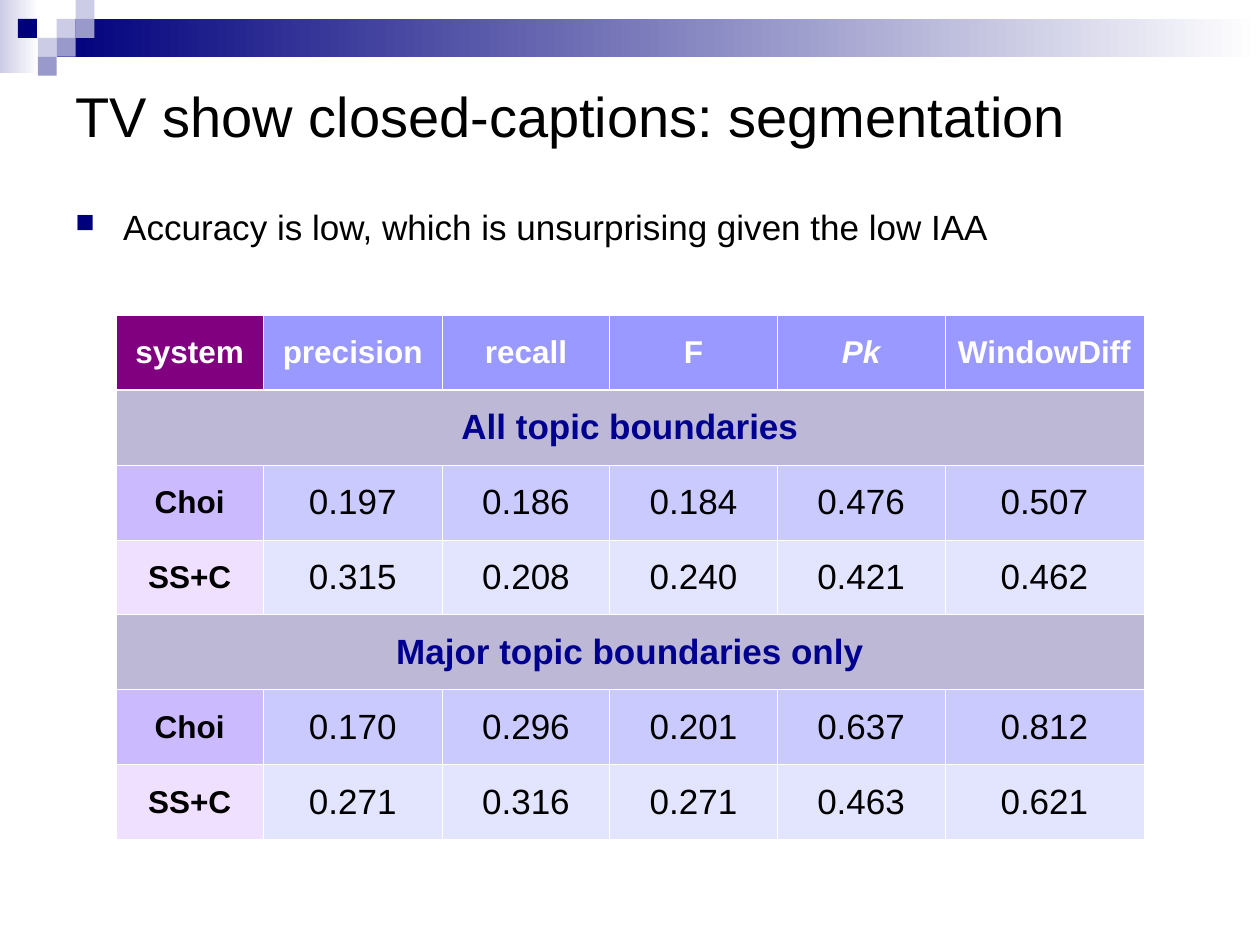
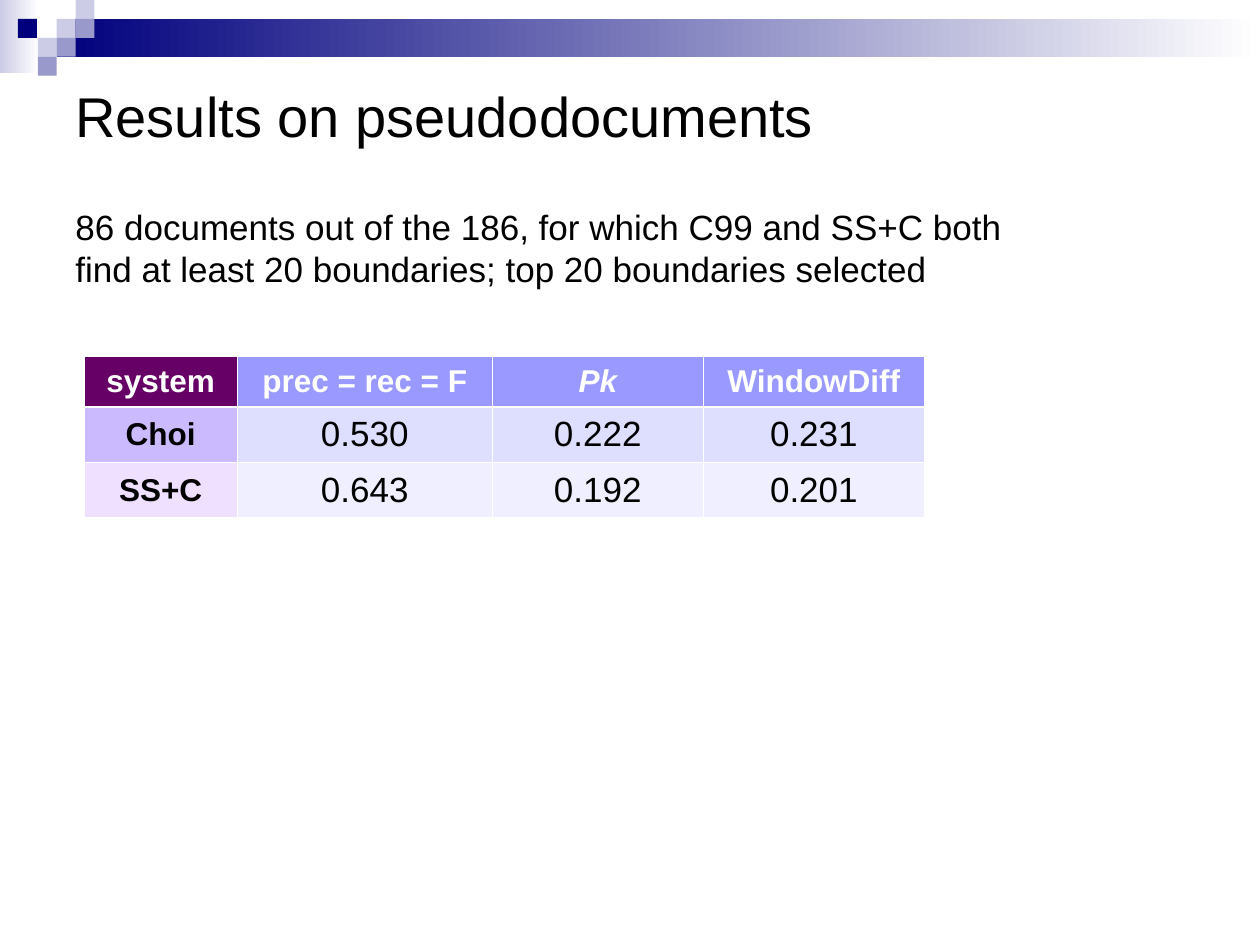
from lxml import etree
from pptx import Presentation
from pptx.dml.color import RGBColor
from pptx.enum.shapes import MSO_SHAPE
from pptx.enum.text import MSO_ANCHOR, PP_ALIGN
from pptx.oxml.ns import qn
from pptx.util import Inches, Pt

RECT = MSO_SHAPE.RECTANGLE
MIDDLE = MSO_ANCHOR.MIDDLE
TOP = MSO_ANCHOR.TOP
CENTER = PP_ALIGN.CENTER

FONT = "Arial"
HEX = {
    "black": "000000", "white": "FFFFFF", "navy": "00007D",
    "pale": "CCCCE6", "mid": "9999CC", "head": "9999FF",
    "band": "BDB8D5", "ink": "000090",
}
NAMES = ["CCBAFF", "F0E0FF"]

BARS = [((0, 0, 0.31, 0.58), "pale"), ((0.45, 0.15, 9.55, 0.3), "navy")]
SIDE = 0.15
TILES = [
    (3, 1, "pale"), (4, 0, "pale"), (4, 1, "mid"), (2, 2, "pale"),
    (0.95, 1, "navy"), (3, 2, "mid"), (2, 3, "mid"),
]

SLIDES = [
    {
        "title": "TV show closed-captions: segmentation",
        "body": ["Accuracy is low, which is unsurprising given the low IAA"],
        "bullet": True,
        "box": (0.5, 1.58, 9, 5.33),
        "at": (0.92, 2.5),
        "cols": [1.17, 1.42, 1.33, 1.33, 1.33, 1.58],
        "heights": [0.595] * 7,
        "corner": "800080",
        "fills": ["CACAFF", "E3E5FF"],
        "rows": [
            ["system", "precision", "recall", "F", "Pk", "WindowDiff"],
            ["All topic boundaries"],
            ["Choi", "0.197", "0.186", "0.184", "0.476", "0.507"],
            ["SS+C", "0.315", "0.208", "0.240", "0.421", "0.462"],
            ["Major topic boundaries only"],
            ["Choi", "0.170", "0.296", "0.201", "0.637", "0.812"],
            ["SS+C", "0.271", "0.316", "0.271", "0.463", "0.621"],
        ],
    },
    {
        "title": "Results on pseudodocuments",
        "body": [
            "86 documents out of the 186, for which C99 and SS+C both",
            "find at least 20 boundaries; top 20 boundaries selected",
        ],
        "bullet": False,
        "box": (0.5, 1.58, 8.58, 0.77),
        "at": (0.67, 2.83),
        "cols": [1.21, 2.03, 1.67, 1.76],
        "heights": [0.4, 0.44, 0.44],
        "corner": "660066",
        "fills": ["DEDEFF", "EFEFFF"],
        "rows": [
            ["system", "prec = rec = F", "Pk", "WindowDiff"],
            ["Choi", "0.530", "0.222", "0.231"],
            ["SS+C", "0.643", "0.192", "0.201"],
        ],
    },
]


def rgb(name):
    return RGBColor.from_string(HEX.get(name, name))


def add_run(para, text, size, color="black", bold=False, slant=False):
    run = para.add_run()
    run.text = text
    font = run.font
    font.name, font.size = FONT, Pt(size)
    font.bold, font.italic = bold, slant
    font.color.rgb = rgb(color)


def add_rect(slide, box, color, fade=False):
    shape = slide.shapes.add_shape(RECT, *map(Inches, box))
    shape.shadow.inherit = False
    shape.line.fill.background()
    fill = shape.fill
    if fade:
        fill.gradient()
        fill.gradient_angle = 0
        for stop, tone in zip(fill.gradient_stops, (color, "white")):
            stop.color.rgb = rgb(tone)
    else:
        fill.solid()
        fill.fore_color.rgb = rgb(color)


def add_bands(slide):
    for box, color in BARS:
        add_rect(slide, box, color, True)
    for col, row, color in TILES:
        add_rect(slide, (col * SIDE, row * SIDE, SIDE, SIDE), color)


def add_bullet(para):
    para.space_before = Pt(5)
    props = para._p.get_or_add_pPr()
    props.set("marL", str(Inches(0.38)))
    props.set("indent", str(-Inches(0.38)))
    tint = etree.SubElement(props, qn("a:buClr"))
    etree.SubElement(tint, qn("a:srgbClr"), val=HEX["navy"])
    etree.SubElement(props, qn("a:buSzPct"), val="75000")
    etree.SubElement(props, qn("a:buChar"), char="■")


def add_text(slide, box, lines, size, anchor, bullet=False):
    frame = slide.shapes.add_textbox(*map(Inches, box)).text_frame
    frame.word_wrap = True
    frame.vertical_anchor = anchor
    for i, line in enumerate(lines):
        para = frame.add_paragraph() if i else frame.paragraphs[0]
        if bullet:
            add_bullet(para)
        add_run(para, line, size)


def add_edges(cell, row):
    props = cell._tc.get_or_add_tcPr()
    thick = {0: "B", 1: "T"}.get(row)
    for side in "LRTB":
        width = Pt(1.47 if side == thick else 0.45)
        line = etree.SubElement(props, qn("a:ln" + side), w=str(width))
        fill = etree.SubElement(line, qn("a:solidFill"))
        etree.SubElement(fill, qn("a:srgbClr"), val=HEX["white"])


def cell_look(data, row, col, shade):
    if row == 0:
        return data["corner"] if col == 0 else "head", 18, "white", True
    if len(data["rows"][row]) == 1:
        return "band", 20, "ink", True
    if col == 0:
        return NAMES[shade], 18, "black", True
    return data["fills"][shade], 20, "black", False


def add_grid(slide, data):
    rows, cols, highs = data["rows"], data["cols"], data["heights"]
    size = (*data["at"], sum(cols), sum(highs))
    table = slide.shapes.add_table(
        len(rows), len(cols), *map(Inches, size)).table
    for part, width in zip(table.columns, cols):
        part.width = Inches(width)
    shade = 0
    for r, texts in enumerate(rows):
        table.rows[r].height = Inches(highs[r])
        if len(texts) == 1:
            table.cell(r, 0).merge(table.cell(r, len(cols) - 1))
        for c in range(len(cols)):
            cell = table.cell(r, c)
            back, points, color, bold = cell_look(data, r, c, shade)
            add_edges(cell, r)
            cell.fill.solid()
            cell.fill.fore_color.rgb = rgb(back)
            cell.vertical_anchor = MIDDLE
            if c < len(texts):
                para = cell.text_frame.paragraphs[0]
                para.alignment = CENTER
                add_run(para, texts[c], points, color, bold, texts[c] == "Pk")
        if r and len(texts) > 1:
            shade = 1 - shade


def main():
    deck = Presentation()
    deck.slide_width, deck.slide_height = Inches(10), Inches(7.5)
    for data in SLIDES:
        slide = deck.slides.add_slide(deck.slide_layouts[6])
        add_bands(slide)
        add_text(slide, (0.5, 0.5, 9, 0.83), [data["title"]], 32, MIDDLE)
        add_text(slide, data["box"], data["body"], 20, TOP, data["bullet"])
        add_grid(slide, data)
    deck.save("out.pptx")


if __name__ == "__main__":
    main()
